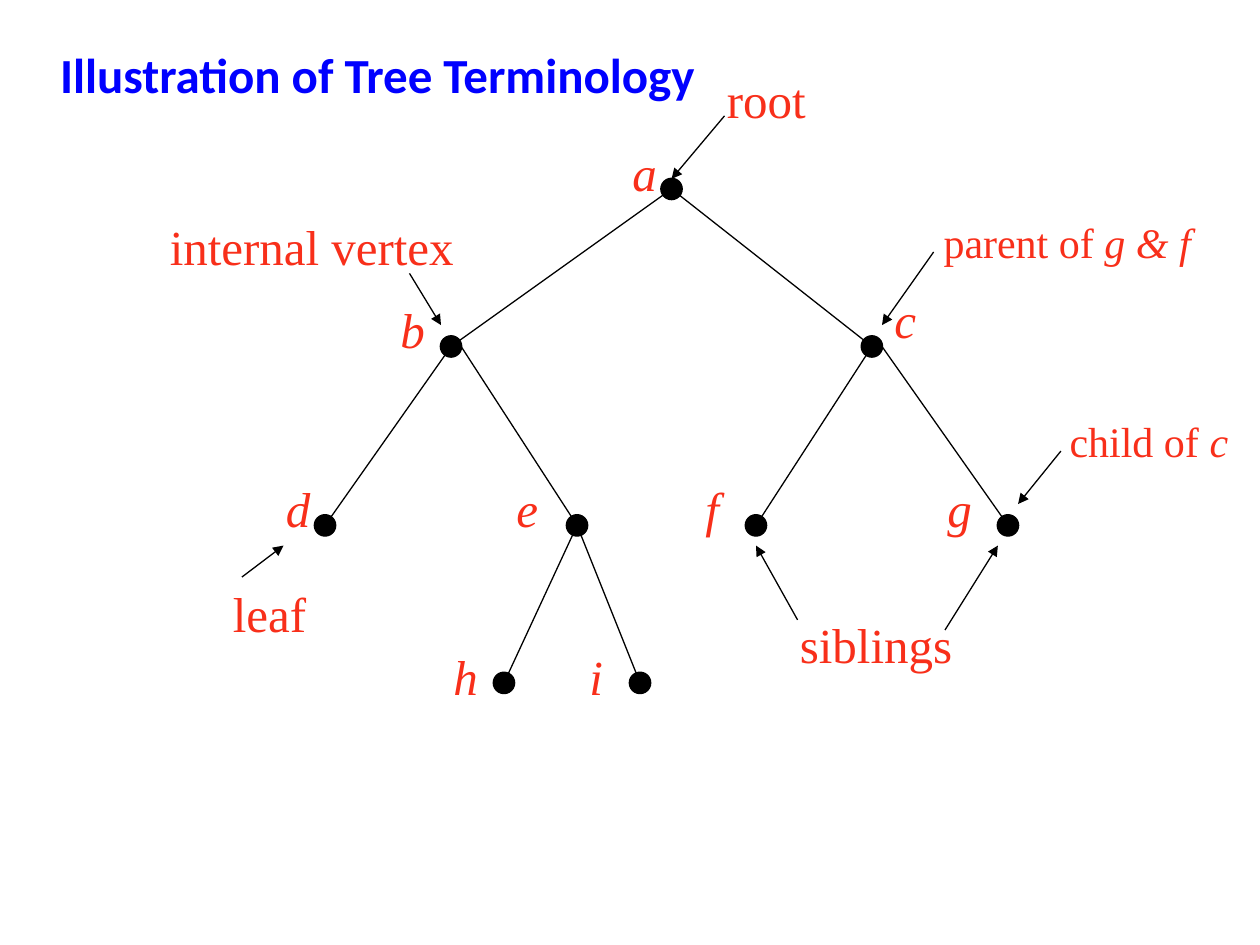
import pptx
import pptx.dml.color
import pptx.enum.shapes
import pptx.enum.text
import pptx.oxml.ns
import pptx.util
from lxml import etree
from pptx.util import Inches

RED = pptx.dml.color.RGBColor(0xF8, 0x2F, 0x1A)
BLUE = pptx.dml.color.RGBColor(0x00, 0x00, 0xFF)
BLACK = pptx.dml.color.RGBColor(0x00, 0x00, 0x00)

TITLE = "Illustration of Tree Terminology"
DIAMETER = 0.17

# name: (vertex centre, top left of its letter)
VERTICES = {
    "a": ((5.33, 1.5), (4.92, 1.08)),
    "b": ((3.58, 2.75), (3.08, 2.33)),
    "c": ((6.92, 2.75), (7, 2.25)),
    "d": ((2.58, 4.17), (2.17, 3.75)),
    "e": ((4.58, 4.17), (4, 3.75)),
    "f": ((6, 4.17), (5.5, 3.75)),
    "g": ((8, 4.17), (7.42, 3.75)),
    "h": ((4, 5.42), (3.5, 5.08)),
    "i": ((5.08, 5.42), (4.58, 5.08)),
}

# parent, child, shift of the line's upper end to the right
EDGES = [
    ("a", "b", 0), ("a", "c", 0),
    ("b", "d", 0), ("b", "e", 0.08),
    ("c", "f", 0), ("c", "g", 0.08),
    ("e", "h", 0), ("e", "i", 0),
]

# upright text, italic text, size, (left, top, width, height)
TERMS = [
    ("root", "", 28, (5.67, 0.5, 1.92, 0.57)),
    ("internal vertex", "", 28, (1.25, 1.67, 2.67, 0.57)),
    ("parent of ", "g & f", 24, (7.39, 1.67, 2.36, 0.51)),
    ("child of ", "c", 24, (8.39, 3.25, 1.6, 0.51)),
    ("siblings", "", 28, (6.25, 4.83, 1.83, 0.57)),
    ("leaf", "", 28, (1.75, 4.58, 0.92, 0.57)),
]

# start, tip
POINTERS = [
    ((5.75, 0.92), (5.33, 1.42)),
    ((3.25, 2.17), (3.5, 2.58)),
    ((7.41, 2), (7, 2.58)),
    ((8.42, 3.58), (8.08, 4)),
    ((6.33, 4.92), (6, 4.33)),
    ((7.5, 5), (7.92, 4.33)),
    ((1.92, 4.58), (2.25, 4.33)),
]


def add_line(page, start, end, arrow=False):
    line = page.shapes.add_connector(
        pptx.enum.shapes.MSO_CONNECTOR.STRAIGHT,
        *(Inches(value) for value in (*start, *end)))
    line.line.color.rgb = BLACK
    line.line.width = pptx.util.Pt(0.75)
    properties = line._element.spPr
    if arrow:
        outline = properties.find(pptx.oxml.ns.qn("a:ln"))
        etree.SubElement(outline, pptx.oxml.ns.qn("a:tailEnd"), type="triangle")
    etree.SubElement(properties, pptx.oxml.ns.qn("a:effectLst"))


def add_vertex(page, centre):
    x, y = centre
    dot = page.shapes.add_shape(
        pptx.enum.shapes.MSO_SHAPE.OVAL,
        Inches(x - DIAMETER / 2), Inches(y - DIAMETER / 2),
        Inches(DIAMETER), Inches(DIAMETER))
    dot.shadow.inherit = False
    dot.fill.solid()
    dot.fill.fore_color.rgb = BLACK
    dot.line.color.rgb = BLACK
    dot.line.width = pptx.util.Pt(0.75)


def add_text(page, place, spans, size, color=RED, name="Times New Roman"):
    """Add one paragraph made of (text, extra font values) spans."""
    box = page.shapes.add_textbox(*(Inches(value) for value in place))
    box.text_frame.word_wrap = True
    para = box.text_frame.paragraphs[0]
    for text, extra in spans:
        span = para.add_run()
        span.text = text
        span.font.color.rgb = color
        values = {"name": name, "size": pptx.util.Pt(size), **extra}
        for key, value in values.items():
            setattr(span.font, key, value)
    return para


def main():
    deck = pptx.Presentation()
    deck.slide_width, deck.slide_height = Inches(10), Inches(7.5)
    page = deck.slides.add_slide(deck.slide_layouts[6])

    for parent, child, shift in EDGES:
        x, y = VERTICES[parent][0]
        add_line(page, (x + shift, y), VERTICES[child][0])
    for letter, (centre, corner) in VERTICES.items():
        add_vertex(page, centre)
        add_text(page, (*corner, 0.42, 0.57), [(letter, {"italic": True})], 28)

    for upright, italic, size, place in TERMS:
        spans = [(upright, {})]
        if italic:
            spans.append((italic, {"italic": True}))
        add_text(page, place, spans, size)
    for start, tip in POINTERS:
        add_line(page, start, tip, arrow=True)

    title = add_text(page, (0.08, 0.3, 5.83, 0.78),
                     [(TITLE, {"bold": True})], 28, BLUE, "Calibri")
    title.alignment = pptx.enum.text.PP_ALIGN.CENTER

    deck.save("out.pptx")


if __name__ == "__main__":
    main()
